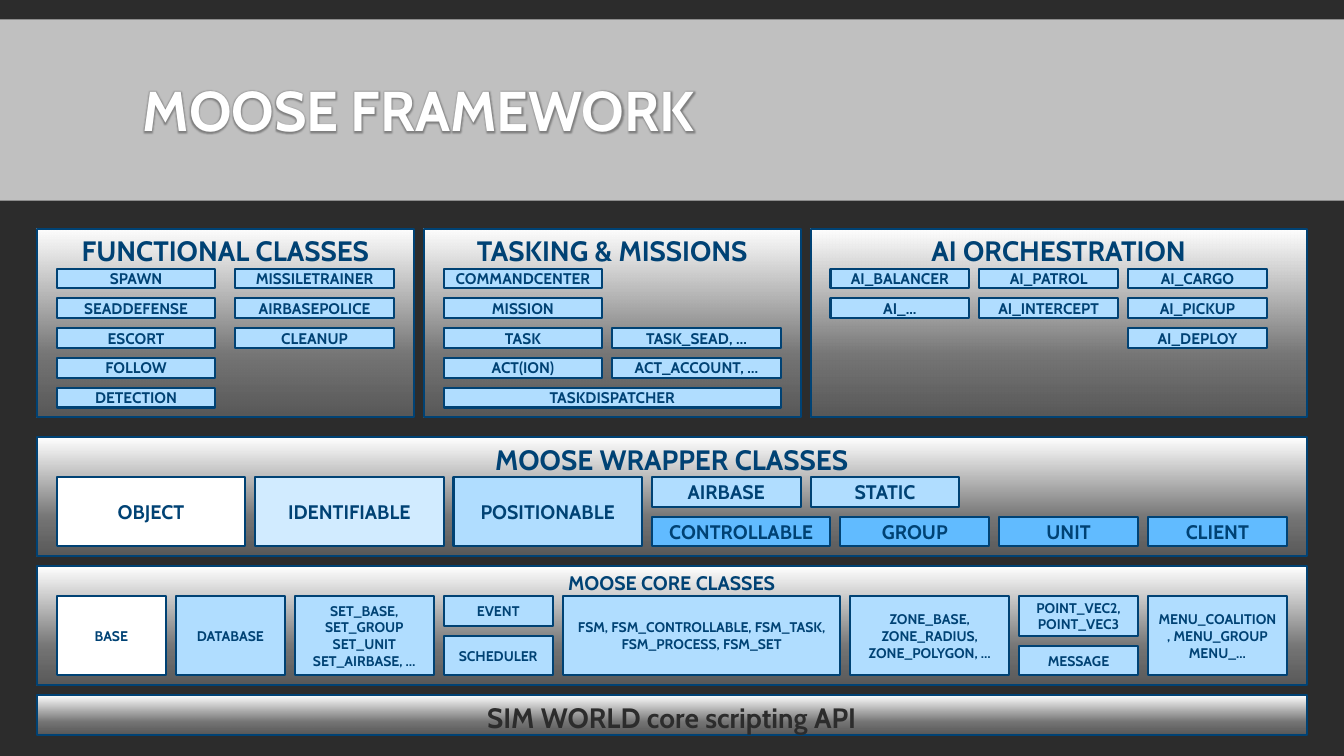
from lxml import etree
from pptx import Presentation
from pptx.dml.color import RGBColor
from pptx.enum.shapes import MSO_SHAPE
from pptx.enum.text import MSO_ANCHOR, PP_ALIGN
from pptx.oxml import parse_xml
from pptx.oxml.ns import qn
from pptx.util import Cm, Pt

RECT = MSO_SHAPE.RECTANGLE
TOP, MIDDLE = MSO_ANCHOR.TOP, MSO_ANCHOR.MIDDLE
CENTER = PP_ALIGN.CENTER

DARK = RGBColor(0x2C, 0x2C, 0x2C)
WHITE = RGBColor(0xFF, 0xFF, 0xFF)
NAVY = RGBColor(0x00, 0x42, 0x74)
PALE = RGBColor(0xD1, 0xEB, 0xFF)
LIGHT = RGBColor(0xB0, 0xDD, 0xFF)
BLUE = RGBColor(0x61, 0xBB, 0xFF)
GLOW = RGBColor(0x70, 0x70, 0x70)

FONT = "Cabin"
NS = 'xmlns:a="http://schemas.openxmlformats.org/drawingml/2006/main"'
STOPS = ((0, 20), (34, 35), (100, 100))
LEFT, UPPER, WIDTH = 0.93, 5.77, 32
PAD, GAP = 0.5, 0.25
ROW_TOP, ROW_STEP, ROW_HEIGHT = 1, 0.75, 0.5


def style(p, size, color):
    p.font.name = FONT
    p.font.size = Pt(size)
    p.font.bold = True
    p.font.color.rgb = color


def add_box(s, x, y, w, h, text, size, color=NAVY, fill=None, anchor=MIDDLE):
    box = s.shapes.add_shape(RECT, Cm(x), Cm(y), Cm(w), Cm(h))
    box.shadow.inherit = False
    box.line.color.rgb = NAVY
    box.line.width = Pt(1.5)
    if fill is not None:
        box.fill.solid()
        box.fill.fore_color.rgb = fill
    tf = box.text_frame
    tf.word_wrap = True
    tf.vertical_anchor = anchor
    tf.text = text
    for p in tf.paragraphs:
        p.alignment = CENTER
        style(p, size, color)
    return box


def add_panel(s, x, y, w, h, heading, size=20, color=NAVY):
    panel = add_box(s, x, y, w, h, heading, size, color, anchor=TOP)
    stops = "".join(
        f'<a:gs pos="{pos * 1000}"><a:srgbClr val="{WHITE}">'
        f'<a:alpha val="{alpha * 1000}"/></a:srgbClr></a:gs>'
        for pos, alpha in STOPS)
    gradient = parse_xml(f'<a:gradFill {NS}><a:gsLst>{stops}</a:gsLst>'
                         '<a:lin ang="16200000" scaled="0"/></a:gradFill>')
    panel.element.spPr.find(qn("a:prstGeom")).addnext(gradient)


def add_title_band(s, x, y, w, h):
    band = s.shapes.add_shape(RECT, Cm(x), Cm(y), Cm(w), Cm(h))
    band.shadow.inherit = False
    band.fill.solid()
    band.fill.fore_color.rgb = WHITE
    band.line.fill.background()
    color = band.element.spPr.find(qn("a:solidFill"))[0]
    etree.SubElement(color, qn("a:alpha")).set("val", "70000")

    title = s.shapes.add_textbox(Cm(x + 3.35), Cm(y + 0.3), Cm(27.18), Cm(4.19))
    tf = title.text_frame
    tf.word_wrap = True
    tf.vertical_anchor = MIDDLE
    p = tf.paragraphs[0]
    p.line_spacing = 0.85
    r = p.add_run()
    r.text = "MOOSE FRAMEWORK"
    style(r, 40, WHITE)
    effect = parse_xml(f'<a:effectLst {NS}><a:glow rad="50800"><a:srgbClr val="{GLOW}">'
                       '<a:alpha val="80000"/></a:srgbClr></a:glow></a:effectLst>')
    r.font.fill
    r.font._element.find(qn("a:solidFill")).addnext(effect)


def add_class_panel(s, x, y, w, h, heading, columns):
    add_panel(s, x, y, w, h, heading)
    for dx, width, first_row, names in columns:
        for row, name in enumerate(names, first_row):
            add_box(s, x + dx, y + ROW_TOP + row * ROW_STEP, width, ROW_HEIGHT,
                    name, 11, fill=LIGHT)


def add_block_panel(s, x, y, w, h, heading, heading_size, block_size, blocks):
    add_panel(s, x, y, w, h, heading, heading_size)
    for dx, dy, width, height, fill, name in blocks:
        add_box(s, x + dx, y + dy, width, height, name, block_size, fill=fill)


FUNCTIONAL = (
    (PAD, 4, 0, ("SPAWN", "SEADDEFENSE", "ESCORT", "FOLLOW", "DETECTION")),
    (5, 4, 0, ("MISSILETRAINER", "AIRBASEPOLICE", "CLEANUP")),
)
TASKING = (
    (PAD, 4, 0, ("COMMANDCENTER", "MISSION", "TASK", "ACT(ION)")),
    (4.75, 4.25, 2, ("TASK_SEAD, …", "ACT_ACCOUNT, …")),
    (PAD, 8.5, 4, ("TASKDISPATCHER",)),
)
AI = (
    (PAD, 3.5, 0, ("AI_BALANCER", "AI_...")),
    (4.25, 3.5, 0, ("AI_PATROL", "AI_INTERCEPT")),
    (8, 3.5, 0, ("AI_CARGO", "AI_PICKUP", "AI_DEPLOY")),
)
WRAPPER = (
    (PAD, 1, 4.75, 1.75, WHITE, "OBJECT"),
    (5.5, 1, 4.75, 1.75, PALE, "IDENTIFIABLE"),
    (10.5, 1, 4.75, 1.75, LIGHT, "POSITIONABLE"),
    (15.5, 1, 3.75, 0.75, LIGHT, "AIRBASE"),
    (19.5, 1, 3.75, 0.75, LIGHT, "STATIC"),
    (15.5, 2, 4.5, 0.75, BLUE, "CONTROLLABLE"),
    (20.25, 2, 3.75, 0.75, BLUE, "GROUP"),
    (24.25, 2, 3.5, 0.75, BLUE, "UNIT"),
    (28, 2, 3.5, 0.75, BLUE, "CLIENT"),
)
CORE = (
    (PAD, 0.75, 2.75, 2, WHITE, "BASE"),
    (3.5, 0.75, 2.75, 2, LIGHT, "DATABASE"),
    (6.5, 0.75, 3.5, 2, LIGHT, "SET_BASE, SET_GROUP\nSET_UNIT\nSET_AIRBASE, …"),
    (10.25, 0.75, 2.75, 0.75, LIGHT, "EVENT"),
    (10.25, 1.75, 2.75, 1, LIGHT, "SCHEDULER"),
    (13.25, 0.75, 7, 2, LIGHT,
     "FSM, FSM_CONTROLLABLE, FSM_TASK, FSM_PROCESS, FSM_SET"),
    (20.5, 0.75, 4, 2, LIGHT, "ZONE_BASE, ZONE_RADIUS, ZONE_POLYGON, …"),
    (24.75, 0.75, 3, 1, LIGHT, "POINT_VEC2, POINT_VEC3"),
    (24.75, 2, 3, 0.75, LIGHT, "MESSAGE"),
    (28, 0.75, 3.5, 2, LIGHT, "MENU_COALITION, MENU_GROUP\nMENU_..."),
)


def main():
    prs = Presentation()
    prs.slide_width, prs.slide_height = Cm(33.87), Cm(19.05)
    s = prs.slides.add_slide(prs.slide_layouts[6])
    s.background.fill.solid()
    s.background.fill.fore_color.rgb = DARK

    add_title_band(s, 0, 0.49, 33.87, 4.57)
    x = LEFT
    for heading, width, columns in (("FUNCTIONAL CLASSES", 9.5, FUNCTIONAL),
                                    ("TASKING & MISSIONS", 9.5, TASKING),
                                    ("AI ORCHESTRATION", 12.5, AI)):
        add_class_panel(s, x, UPPER, width, 4.75, heading, columns)
        x += width + GAP
    add_block_panel(s, LEFT, UPPER + 5.25, WIDTH, 3, "MOOSE WRAPPER CLASSES", 20, 14, WRAPPER)
    add_block_panel(s, LEFT, UPPER + 8.5, WIDTH, 3, "MOOSE CORE CLASSES", 14, 10, CORE)
    add_panel(s, LEFT, UPPER + 11.75, WIDTH, 1, "SIM WORLD core scripting API", color=DARK)
    prs.save("out.pptx")


if __name__ == "__main__":
    main()
